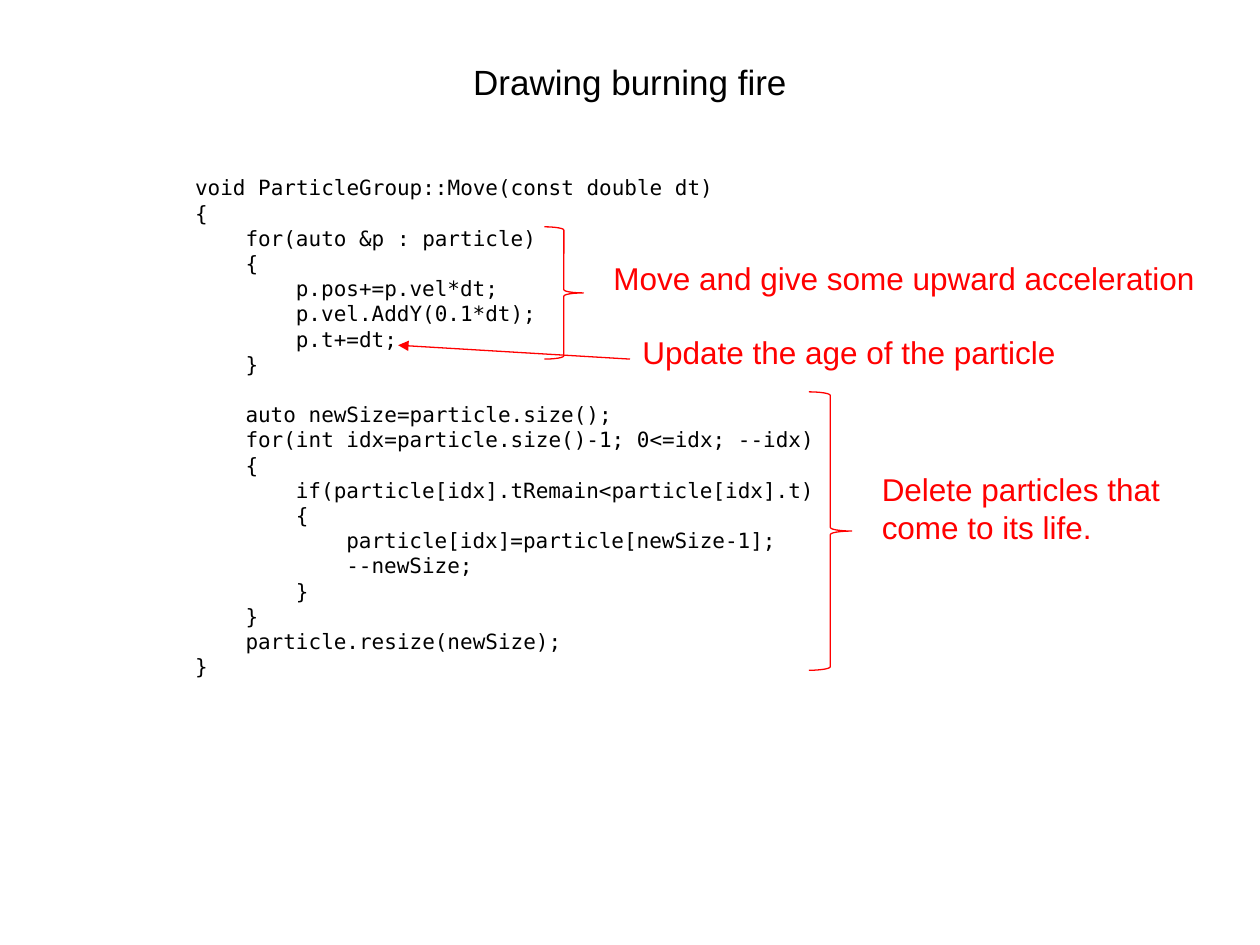
"""Build a slide that explains a particle update function with braces and notes."""
import pptx
import pptx.util
import pptx.dml.color
import pptx.enum.shapes
import pptx.enum.text
import pptx.oxml
import pptx.oxml.ns

BLACK = pptx.dml.color.RGBColor(0, 0, 0)
RED = pptx.dml.color.RGBColor(255, 0, 0)
SANS, MONO = "Arial", "DejaVu Sans Mono"
COLS, ROWS = 100, 75
UNIT = pptx.util.Inches(0.1)
TAB = 4
GAP = 14.4

TITLE = "Drawing burning fire"
BLOCKS = [
    [
        (0, "void ParticleGroup::Move(const double dt)"),
        (0, "{"),
        (1, "for(auto &p : particle)"),
        (1, "{"),
        (2, "p.pos+=p.vel*dt;"),
        (2, "p.vel.AddY(0.1*dt);"),
        (2, "p.t+=dt;"),
        (1, "}"),
    ],
    [
        (1, "auto newSize=particle.size();"),
        (1, "for(int idx=particle.size()-1; 0<=idx; --idx)"),
        (1, "{"),
        (2, "if(particle[idx].tRemain<particle[idx].t)"),
        (2, "{"),
        (3, "particle[idx]=particle[newSize-1];"),
        (3, "--newSize;"),
        (2, "}"),
        (1, "}"),
        (1, "particle.resize(newSize);"),
        (0, "}"),
    ],
]
NOTES = [
    ("Move and give some upward acceleration", (47.7, 20.1, 48.6, 4), False),
    ("Delete particles that come to its life.", (69, 36.8, 27.3, 7.1), True),
    ("Update the age of the particle", (50, 25.9, 35.1, 4), False),
]
BRACES = [(43.2, 18, 3.1, 10.5), (64.2, 31.1, 3.4, 22.1)]
ARROW = (50, 28.5, 31.6, 27.4)


def grid(cells):
    return [round(cell * UNIT) for cell in cells]


def write(para, text, font=SANS, size=18, color=RED, level=0, before=0):
    run = para.add_run()
    run.text = text
    run.font.name = font
    run.font.size = pptx.util.Pt(size)
    run.font.color.rgb = color
    para.space_before = pptx.util.Pt(before)
    if level:
        props = para._p.get_or_add_pPr()
        props.set("marL", str(level * TAB * UNIT))
        props.set("indent", "0")


def box(slide, cells, wrap=False):
    frame = slide.shapes.add_textbox(*grid(cells)).text_frame
    frame.word_wrap = wrap
    frame.auto_size = pptx.enum.text.MSO_AUTO_SIZE.SHAPE_TO_FIT_TEXT
    return frame


def stroke(shape):
    shape.line.color.rgb = RED
    shape.line.width = pptx.util.Pt(0.75)


def head(slide):
    title = slide.shapes.title
    title.left, title.top, title.width, title.height = grid((5, 3, 90, 7))
    frame = title.text_frame
    frame.vertical_anchor = pptx.enum.text.MSO_ANCHOR.MIDDLE
    para = frame.paragraphs[0]
    para.alignment = pptx.enum.text.PP_ALIGN.CENTER
    write(para, TITLE, size=20, color=BLACK)


def code(slide):
    frame = box(slide, (14.5, 13.4, 51.8, 43.4))
    para = frame.paragraphs[0]
    for part, block in enumerate(BLOCKS):
        for row, (level, text) in enumerate(block):
            if part or row:
                para = frame.add_paragraph()
            before = GAP if part and not row else 0
            write(para, text, font=MONO, size=12, color=BLACK,
                  level=level, before=before)


def brace(slide, cells):
    kind = pptx.enum.shapes.MSO_SHAPE.RIGHT_BRACE
    shape = slide.shapes.add_shape(kind, *grid(cells))
    shape.shadow.inherit = False
    shape.fill.background()
    stroke(shape)


def arrow(slide):
    kind = pptx.enum.shapes.MSO_CONNECTOR.STRAIGHT
    line = slide.shapes.add_connector(kind, *grid(ARROW))
    stroke(line)
    tip = pptx.oxml.parse_xml(
        f'<a:tailEnd {pptx.oxml.ns.nsdecls("a")} type="triangle"/>')
    line.line._get_or_add_ln().append(tip)
    line._element.spPr.append(pptx.oxml.parse_xml(
        f'<a:effectLst {pptx.oxml.ns.nsdecls("a")}/>'))


def main():
    deck = pptx.Presentation()
    deck.slide_width, deck.slide_height = grid((COLS, ROWS))
    slide = deck.slides.add_slide(deck.slide_layouts.get_by_name("Title Only"))
    head(slide)
    code(slide)
    for cells in BRACES:
        brace(slide, cells)
    for text, cells, wrap in NOTES:
        write(box(slide, cells, wrap).paragraphs[0], text)
    arrow(slide)
    deck.save("out.pptx")


if __name__ == "__main__":
    main()
